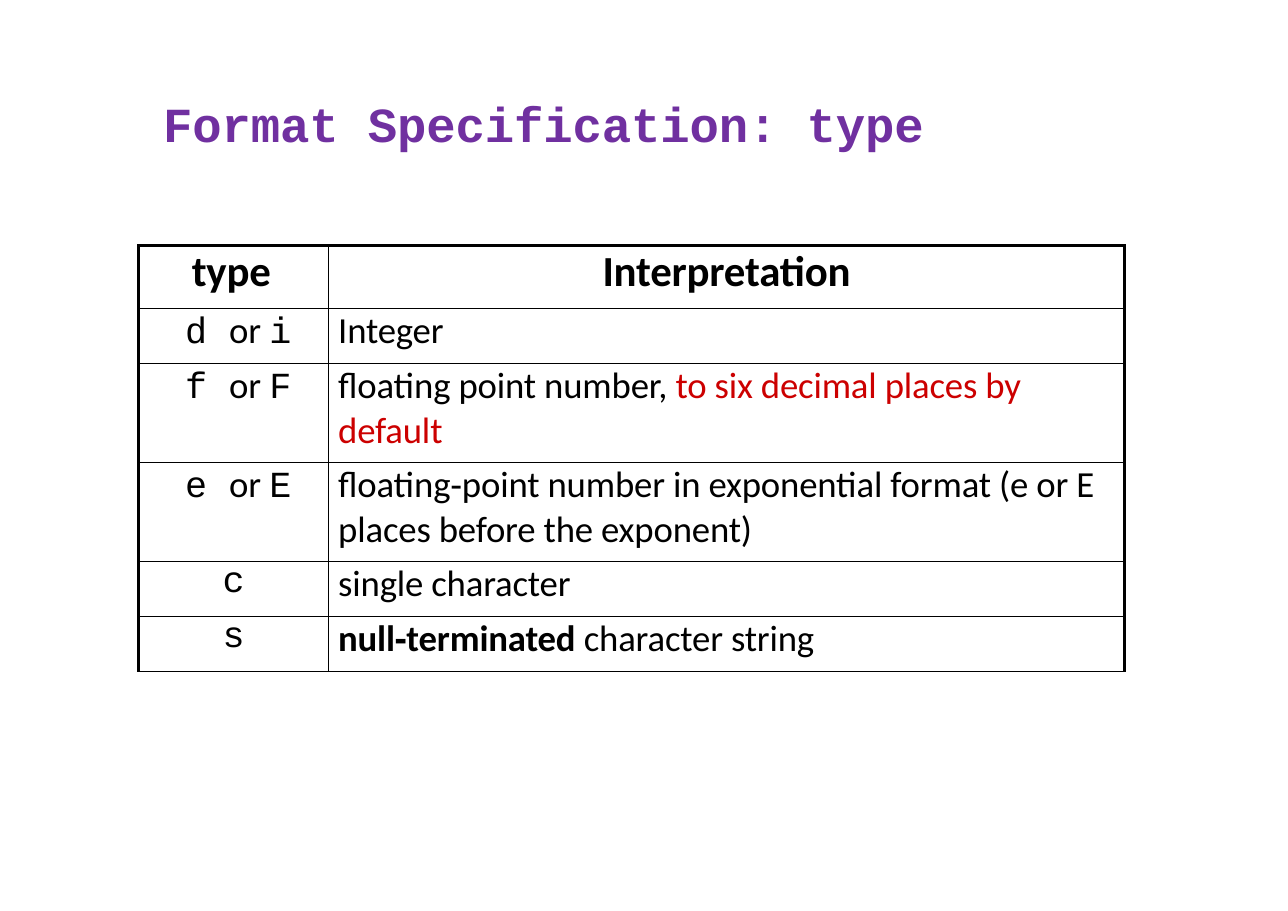
"""Build a slide that tabulates the type letters of a format specification."""
from dataclasses import dataclass

import lxml.etree
import pptx
import pptx.dml.color
import pptx.enum.text
import pptx.oxml.ns
import pptx.presentation
import pptx.slide
import pptx.table
import pptx.text.text
import pptx.util

WIDTH = pptx.util.Inches(11.69)
HEIGHT = pptx.util.Inches(8.27)
Align = pptx.enum.text.PP_ALIGN


@dataclass(frozen=True)
class Theme:
    title: str = "7030A0"
    text: str = "000000"
    accent: str = "CC0000"
    body_font: str = "Calibri"
    code_font: str = "Courier New"
    title_size: int = 32
    header_size: int = 28
    body_size: int = 24
    tracking: float = -0.1
    thick: float = 2.25
    thin: float = 1


THEME = Theme()


@dataclass(frozen=True)
class Span:
    text: str
    font: str = THEME.body_font
    color: str = THEME.text
    bold: bool = False
    size: int = THEME.body_size


@dataclass(frozen=True)
class Entry:
    spans: tuple[Span, ...]
    indent: float = 0
    align: Align = Align.LEFT


@dataclass(frozen=True)
class Row:
    height: float
    kind: Entry
    meaning: Entry


def across(percent: float) -> int:
    """Convert a percentage of the slide width to a length."""
    return round(WIDTH * percent / 100)


def down(percent: float) -> int:
    """Convert a percentage of the slide height to a length."""
    return round(HEIGHT * percent / 100)


def code(text: str) -> Span:
    """Describe a span in the code font."""
    return Span(text, THEME.code_font)


def header(text: str, indent: float = 0, align: Align = Align.LEFT) -> Entry:
    """Describe a column heading."""
    return Entry((Span(text, bold=True, size=THEME.header_size),), indent, align)


def either(first: str, second: str) -> Entry:
    """Describe a choice of two type letters."""
    return Entry((code(f"{first} "), Span("or "), code(second)), 3.59)


def single(letter: str) -> Entry:
    """Describe a lone type letter."""
    return Entry((code(letter),), align=Align.CENTER)


def meaning(*spans: Span) -> Entry:
    """Describe an interpretation."""
    return Entry(spans, 0.77)


COLUMNS = (14.71, 61.85)
ONE_LINE, TWO_LINES = 6.05, 10.88
ROWS = (
    Row(6.89, header("type", 4.11), header("Interpretation", align=Align.CENTER)),
    Row(ONE_LINE, either("d", "i"), meaning(Span("Integer"))),
    Row(TWO_LINES, either("f", "F"), meaning(
        Span("floating point number, "),
        Span("to six decimal places by default", color=THEME.accent))),
    Row(TWO_LINES, either("e", "E"), meaning(
        Span("floating‐point number in exponential format (e or E places before the exponent)"))),
    Row(ONE_LINE, single("c"), meaning(Span("single character"))),
    Row(ONE_LINE, single("s"), meaning(
        Span("null‐terminated ", bold=True), Span("character string"))),
)


def format_run(run: pptx.text.text._Run, span: Span) -> None:
    """Apply the look of a span to a run."""
    run.font.name = span.font
    run.font.size = pptx.util.Pt(span.size)
    run.font.bold = span.bold
    run.font.color.rgb = pptx.dml.color.RGBColor.from_string(span.color)
    if span.font == THEME.body_font or span.size == THEME.title_size:
        run.font._element.set("spc", str(round(THEME.tracking * 100)))


def add_title(slide: pptx.slide.Slide, span: Span) -> None:
    """Place and format the title."""
    shape = slide.shapes.title
    shape.left, shape.top = across(12.66), down(9.19)
    shape.width, shape.height = across(74.76), down(6.53)
    frame = shape.text_frame
    frame.text = span.text
    frame.auto_size = pptx.enum.text.MSO_AUTO_SIZE.NONE
    frame.vertical_anchor = pptx.enum.text.MSO_ANCHOR.TOP
    frame.margin_left = frame.margin_right = frame.margin_bottom = 0
    frame.margin_top = down(1.1)
    frame.paragraphs[0].alignment = Align.LEFT
    format_run(frame.paragraphs[0].runs[0], span)


def set_borders(cell: pptx.table._Cell, widths: dict[str, float]) -> None:
    """Draw the borders of a cell, keyed by side."""
    properties = cell._tc.get_or_add_tcPr()
    name = pptx.oxml.ns.qn
    for side, width in widths.items():
        line = lxml.etree.SubElement(
            properties, name(f"a:ln{side}"), w=str(pptx.util.Pt(width)))
        fill = lxml.etree.SubElement(line, name("a:solidFill"))
        lxml.etree.SubElement(fill, name("a:srgbClr"), val=THEME.text)


def fill_cell(cell: pptx.table._Cell, entry: Entry) -> None:
    """Write an entry into a cell without fill or margins."""
    cell.fill.background()
    cell.margin_left = cell.margin_right = cell.margin_top = cell.margin_bottom = 0
    paragraph = cell.text_frame.paragraphs[0]
    paragraph.alignment = entry.align
    paragraph._p.get_or_add_pPr().set("marL", str(across(entry.indent)))
    for span in entry.spans:
        run = paragraph.add_run()
        run.text = span.text
        format_run(run, span)


def add_type_table(slide: pptx.slide.Slide) -> None:
    """Add the table of type letters and interpretations."""
    table = slide.shapes.add_table(
        len(ROWS), len(COLUMNS), across(10.78), down(26.96),
        across(sum(COLUMNS)), down(sum(row.height for row in ROWS))).table
    table.first_row = table.horz_banding = False
    for column, width in zip(table.columns, COLUMNS):
        column.width = across(width)
    for row_index, row in enumerate(ROWS):
        table.rows[row_index].height = down(row.height)
        for column_index, entry in enumerate((row.kind, row.meaning)):
            cell = table.cell(row_index, column_index)
            set_borders(cell, {
                "L": THEME.thick if column_index == 0 else THEME.thin,
                "R": THEME.thick if column_index == 1 else THEME.thin,
                "T": THEME.thick if row_index == 0 else THEME.thin,
                "B": THEME.thin,
            })
            fill_cell(cell, entry)


def main() -> None:
    """Build and save the presentation."""
    presentation = pptx.Presentation()
    presentation.slide_width, presentation.slide_height = WIDTH, HEIGHT
    slide = presentation.slides.add_slide(presentation.slide_layouts[5])
    add_title(slide, Span("Format Specification: type", THEME.code_font,
                          THEME.title, True, THEME.title_size))
    add_type_table(slide)
    presentation.save("out.pptx")


if __name__ == "__main__":
    main()
